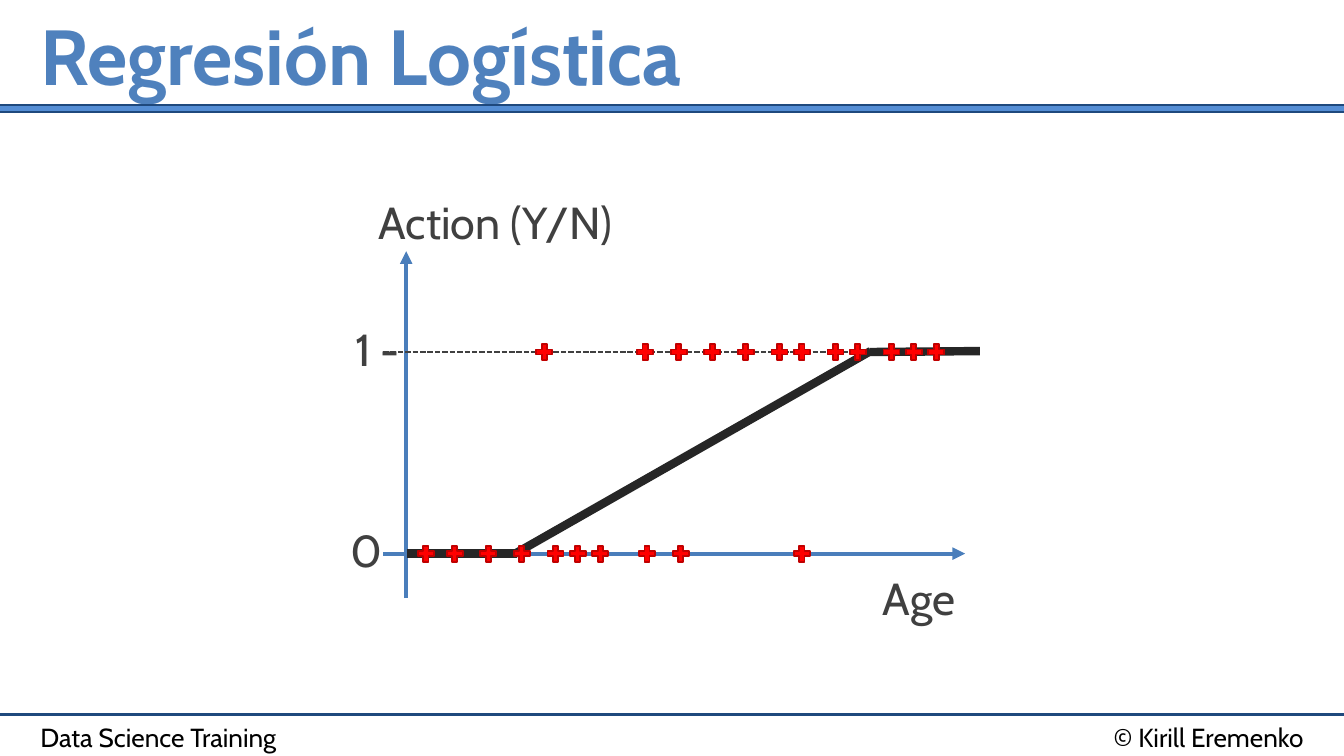
from lxml import etree
from pptx import Presentation
from pptx.dml.color import RGBColor
from pptx.enum.dml import MSO_LINE
from pptx.enum.shapes import MSO_CONNECTOR, MSO_SHAPE
from pptx.enum.text import MSO_ANCHOR, PP_ALIGN
from pptx.oxml.ns import qn
from pptx.util import Pt

FONT = "Cabin"
AXIS, CURVE, GREY, NAVY = "4A7EBB", "262626", "404040", "1F497D"
YES_X = (107.6, 161.6, 179.6, 197.6, 215.6, 233.6,
         245.6, 263.6, 275.6, 293.6, 305.6, 317.6)
NO_X = (44.2, 59.6, 77.6, 95.6, 113.6, 125.6, 137.6, 162.6, 180.6, 245.6)


def rgb(value):
    return RGBColor.from_string(value)


def place(sp, left, top, width, height):
    box = dict(left=left, top=top, width=width, height=height)
    for name, value in box.items():
        setattr(sp, name, Pt(value))


def write(sp, text, size, color, bold=False, align=PP_ALIGN.LEFT,
          anchor=MSO_ANCHOR.TOP):
    tf = sp.text_frame
    frame = dict(word_wrap=True, vertical_anchor=anchor,
                 margin_left=Pt(3.6), margin_right=Pt(3.6),
                 margin_top=Pt(3.6), margin_bottom=Pt(3.6))
    for name, value in frame.items():
        setattr(tf, name, value)
    p = tf.paragraphs[0]
    p.alignment = align
    r = p.add_run()
    r.text = text
    for name, value in dict(name=FONT, size=Pt(size), bold=bold).items():
        setattr(r.font, name, value)
    r.font.color.rgb = rgb(color)


def add_label(s, box, text, size, color, align=PP_ALIGN.LEFT):
    sp = s.shapes.add_textbox(*map(Pt, box))
    write(sp, text, size, color, align=align)


def add_line(s, x1, y1, x2, y2, color, width, dash=None, arrow=False):
    cx = s.shapes.add_connector(MSO_CONNECTOR.STRAIGHT,
                                *map(Pt, (x1, y1, x2, y2)))
    cx.line.color.rgb = rgb(color)
    cx.line.width = Pt(width)
    if dash:
        cx.line.dash_style = dash
    if arrow:
        etree.SubElement(cx.line._get_or_add_ln(), qn("a:tailEnd"),
                         type="triangle")
    etree.SubElement(cx._element.spPr, qn("a:effectLst"))


def add_filled(s, kind, box, fill, outline, width):
    sp = s.shapes.add_shape(kind, *map(Pt, box))
    sp.shadow.inherit = False
    sp.fill.solid()
    sp.fill.fore_color.rgb = rgb(fill)
    sp.line.color.rgb = rgb(outline)
    sp.line.width = Pt(width)
    return sp


def add_header(s, left, top, width, height):
    add_filled(s, MSO_SHAPE.RECTANGLE,
               (left - 3, top + height - 2.2, width + 6, 3.8),
               "558ED5", NAVY, 0.75)
    title = s.shapes.title
    place(title, left + 18, top, width - 36, height)
    write(title, "Regresión Logística", 41.8, "4F81BD", bold=True,
          anchor=MSO_ANCHOR.MIDDLE)


def add_footer(s, left, top, width, height):
    add_line(s, left, top, left + width, top, NAVY, 1.5)
    add_label(s, (left + 18, top, 216, height),
              "Data Science Training", 14, "000000")
    add_label(s, (left + width - 210, top, 192, height),
              "© Kirill Eremenko", 14, "000000", PP_ALIGN.RIGHT)


def add_observations(s, centers, y, size=8.6):
    """Plus-shaped markers centred on one level of the chart."""
    for x in centers:
        sp = add_filled(s, MSO_SHAPE.CROSS,
                        (x - size / 2, y - size / 2, size, size),
                        "FF0000", "C00000", 1)
        sp.adjustments[0] = 0.34


def add_regression_plot(s, left, top, width, height):
    axis_x = left + 33.6
    axis_start, axis_end = left + 21.2, left + width - 8
    yes_y, no_y = top + 87.6, top + 195.6

    add_line(s, axis_start, no_y, axis_end, no_y, AXIS, 2.25, arrow=True)
    add_line(s, axis_x, top + 219.4, axis_x, top + 33.6, AXIS, 2.25,
             arrow=True)
    add_line(s, axis_start, yes_y, axis_end, yes_y, GREY, 1,
             dash=MSO_LINE.SQUARE_DOT)

    labels = (("Action (Y/N)", 15.4, 0, 150), ("1 -", 2.6, 67.6, 43),
              ("0", 0, 175.6, 27.4), ("Age", width - 55.6, 201.4, 66.2))
    for text, dx, dy, label_width in labels:
        add_label(s, (left + dx, top + dy, label_width, 36), text, 24, GREY)

    bend_low, bend_high = left + 92, left + 282.4
    curve_top = yes_y - 0.5
    curve = ((axis_x + 0.6, no_y, bend_low + 1, no_y),
             (bend_high - 0.6, yes_y, left + width, curve_top),
             (bend_low, no_y, bend_high, curve_top))
    for segment in curve:
        add_line(s, *segment, CURVE, 4.5)

    for centers, y in ((YES_X, yes_y), (NO_X, no_y)):
        add_observations(s, [left + x for x in centers], y)


def main():
    prs = Presentation()
    prs.slide_width, prs.slide_height = Pt(720), Pt(405)
    s = prs.slides.add_slide(prs.slide_layouts[5])
    s.background.fill.solid()
    s.background.fill.fore_color.rgb = rgb("FFFFFF")
    add_header(s, 0, 0, 720, 58.4)
    add_footer(s, 0, 383, 720, 24.4)
    add_regression_plot(s, 184, 101, 341, 238)
    prs.save("out.pptx")


if __name__ == "__main__":
    main()
